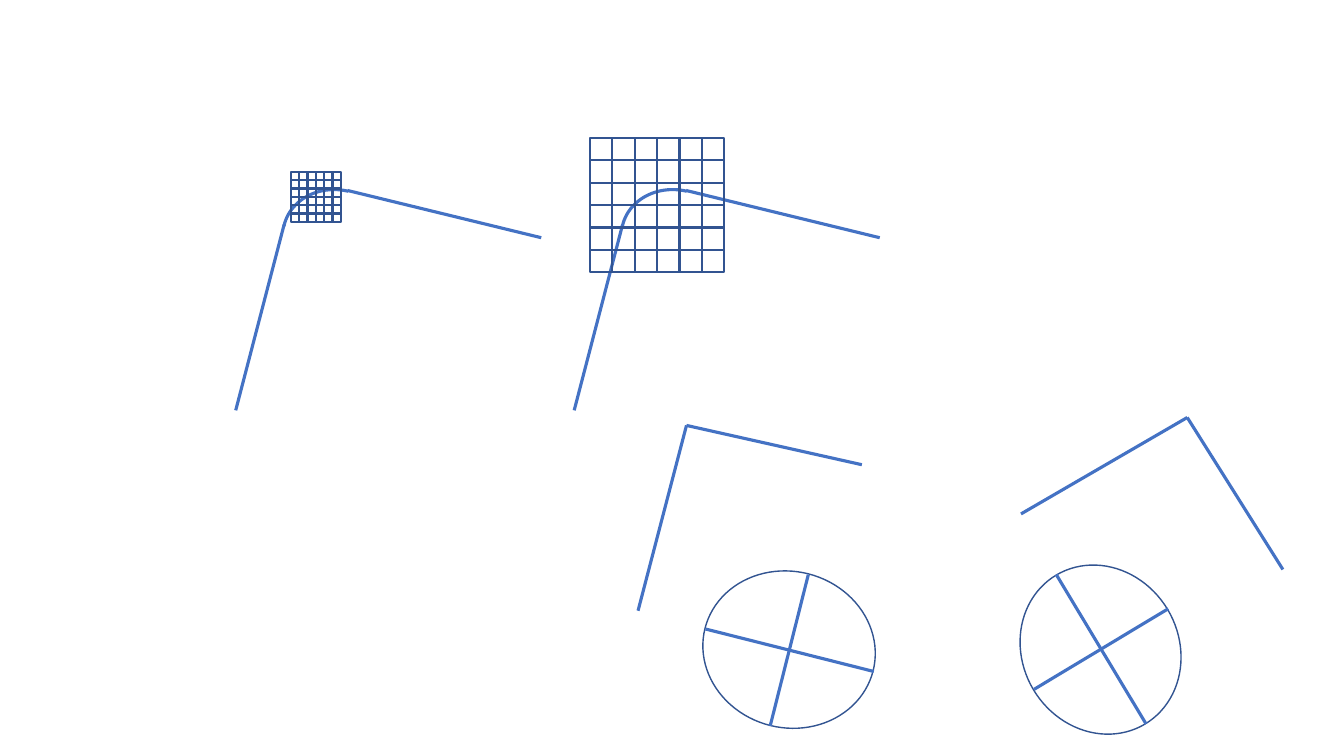
from dataclasses import dataclass

from lxml import etree
from pptx import Presentation
from pptx.dml.color import RGBColor
from pptx.enum.shapes import MSO_CONNECTOR, MSO_SHAPE
from pptx.oxml.ns import qn
from pptx.shapes.autoshape import Shape
from pptx.shapes.shapetree import GroupShapes
from pptx.util import Cm, Pt

STRAIGHT = MSO_CONNECTOR.STRAIGHT
ARC = MSO_SHAPE.ARC
ELLIPSE = MSO_SHAPE.OVAL
SQUARE = MSO_SHAPE.RECTANGLE

Point = tuple[float, float]


@dataclass(frozen=True)
class Theme:
    edge: RGBColor = RGBColor(0x44, 0x72, 0xC4)
    outline: RGBColor = RGBColor(0x32, 0x54, 0x91)
    edge_width: float = 2.25
    grid_width: float = 1.5
    ellipse_width: float = 1


@dataclass(frozen=True)
class RoundedCorner:
    """A rounded corner under a square grid; lengths in centimetres."""
    shift: float
    grid_left: float
    grid_top: float
    grid_size: float


@dataclass(frozen=True)
class SharpCorner:
    """A sharp corner with its ellipse and axes; lengths in centimetres."""
    corner: tuple[Point, Point, Point]
    ellipse_left: float
    rotation: float
    axes: tuple[tuple[Point, Point], ...]


THEME = Theme()
GRID_COUNT = 6
ELLIPSE_TOP, ELLIPSE_WIDTH, ELLIPSE_HEIGHT = 14.4, 4.37, 3.94

ROUNDED_CORNERS = (
    RoundedCorner(8.53, 14.87, 3.48, 3.38),
    RoundedCorner(0, 7.33, 4.33, 1.26),
)
SHARP_CORNERS = (
    SharpCorner(
        ((16.08, 15.39), (17.3, 10.72), (21.72, 11.71)), 17.7, 14.2,
        (((17.78, 15.85), (22.02, 16.92)), ((19.41, 18.29), (20.37, 14.48)))),
    SharpCorner(
        ((25.73, 12.95), (29.92, 10.52), (32.33, 14.35)), 25.55, 59.2,
        (((26.62, 14.48), (28.88, 18.24)), ((26.06, 17.37), (29.44, 15.34)))),
)


def draw_line(shapes: GroupShapes, start: Point, end: Point) -> None:
    line = shapes.add_connector(STRAIGHT, *map(Cm, start + end))
    line.line.color.rgb = THEME.edge
    line.line.width = Pt(THEME.edge_width)
    etree.SubElement(line._element.spPr, qn("a:effectLst"))


def draw_outline(shapes: GroupShapes, kind: MSO_SHAPE, left: float, top: float,
                 width: float, height: float, color: RGBColor,
                 weight: float) -> Shape:
    shape = shapes.add_shape(kind, Cm(left), Cm(top), Cm(width), Cm(height))
    shape.fill.background()
    shape.line.color.rgb = color
    shape.line.width = Pt(weight)
    shape.shadow.inherit = False
    return shape


def draw_rounded_corner(shapes: GroupShapes, figure: RoundedCorner) -> None:
    # Two straight edges joined by an arc
    shift = figure.shift
    draw_line(shapes, (5.94 + shift, 10.34), (7.16 + shift, 5.66))
    draw_line(shapes, (8.76 + shift, 4.8), (13.64 + shift, 5.99))
    arc = draw_outline(shapes, ARC, 7.29 + shift, 4.62, 2.41, 2.74,
                       THEME.edge, THEME.edge_width)
    arc.adjustments[0] = 162
    arc.adjustments[1] = 0.76
    arc.rotation = 282.3

    # Square cells over the arc
    cell = figure.grid_size / GRID_COUNT
    for column in range(GRID_COUNT):
        for row in range(GRID_COUNT):
            draw_outline(shapes, SQUARE, figure.grid_left + column * cell,
                         figure.grid_top + row * cell, cell, cell,
                         THEME.outline, THEME.grid_width)


def draw_sharp_corner(shapes: GroupShapes, figure: SharpCorner) -> None:
    # Tilted ellipse
    ellipse = draw_outline(shapes, ELLIPSE, figure.ellipse_left, ELLIPSE_TOP,
                           ELLIPSE_WIDTH, ELLIPSE_HEIGHT,
                           THEME.outline, THEME.ellipse_width)
    ellipse.rotation = figure.rotation

    # Corner edges and ellipse axes
    first, tip, last = figure.corner
    for start, end in ((first, tip), (tip, last), *figure.axes):
        draw_line(shapes, start, end)


def main() -> None:
    presentation = Presentation()
    presentation.slide_width = Cm(33.87)
    presentation.slide_height = Cm(19.05)
    slide = presentation.slides.add_slide(presentation.slide_layouts[6])

    # One group per figure
    for rounded in ROUNDED_CORNERS:
        draw_rounded_corner(slide.shapes.add_group_shape().shapes, rounded)
    for sharp in SHARP_CORNERS:
        draw_sharp_corner(slide.shapes.add_group_shape().shapes, sharp)

    presentation.save("out.pptx")


if __name__ == "__main__":
    main()
